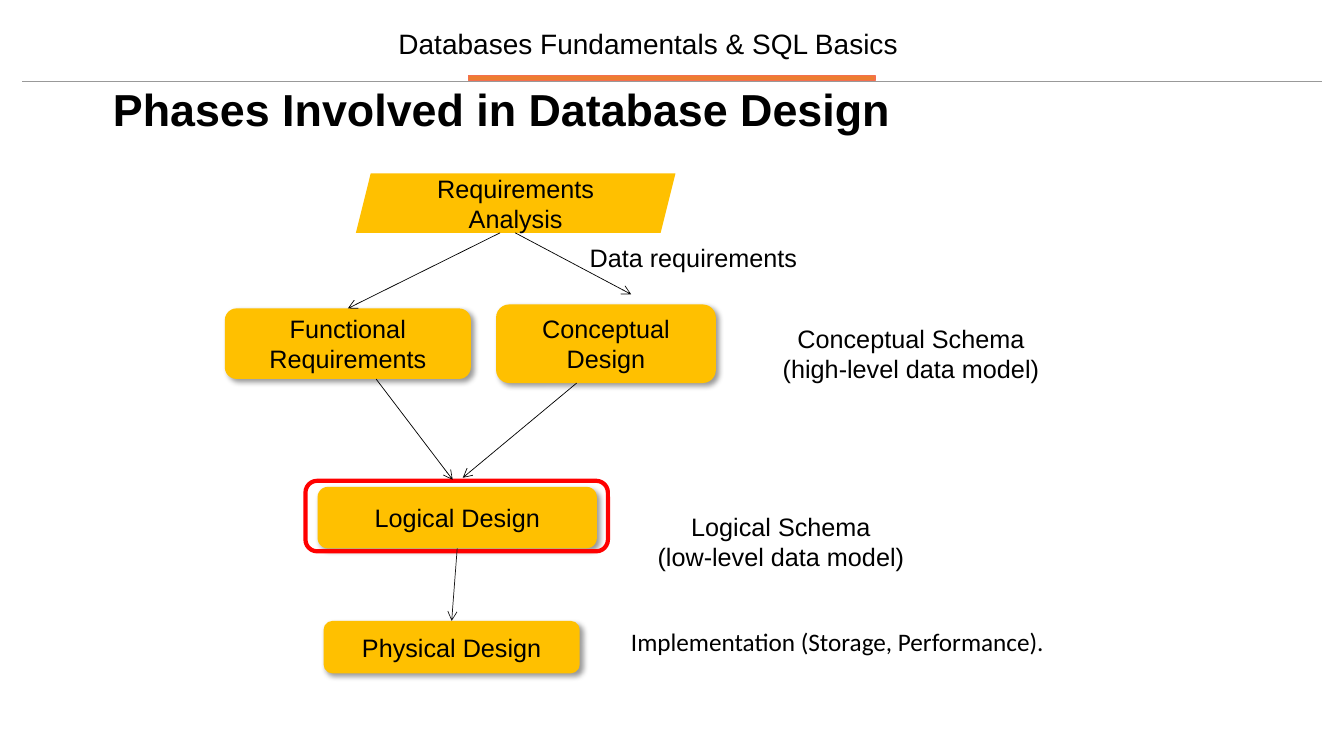
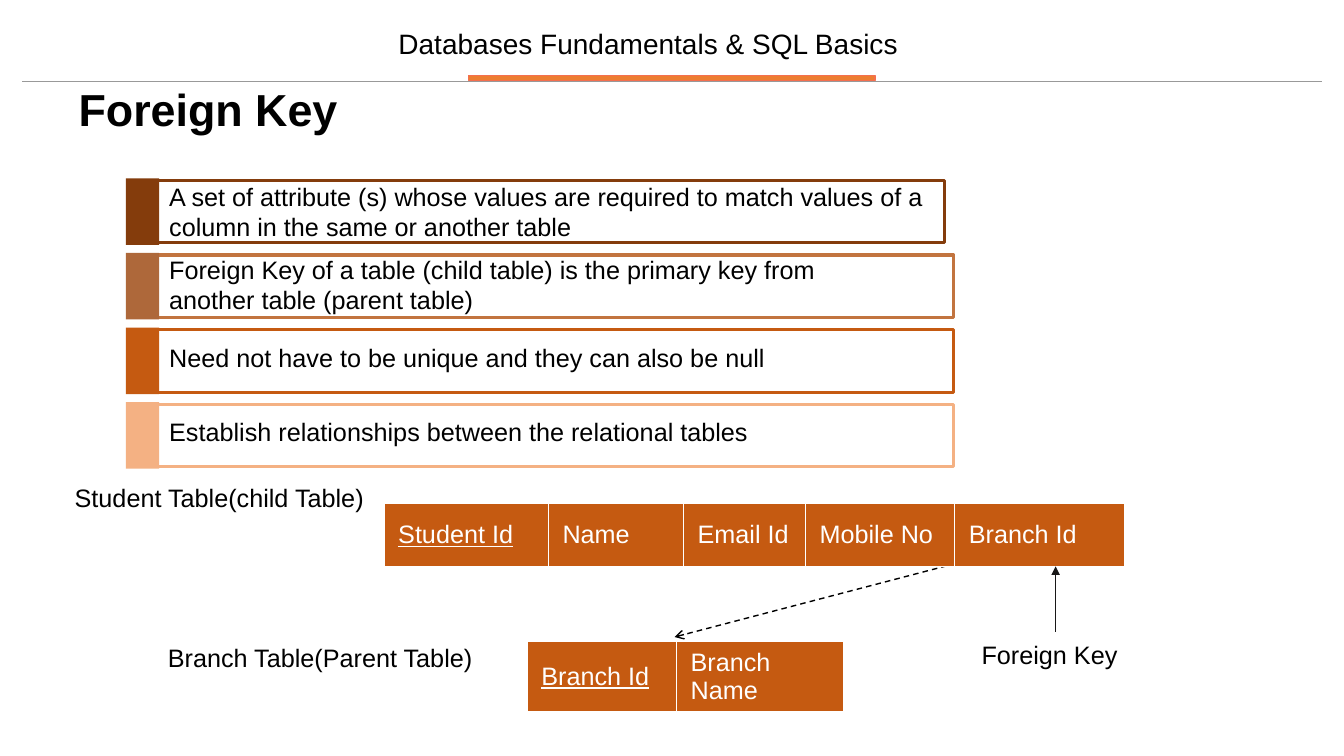
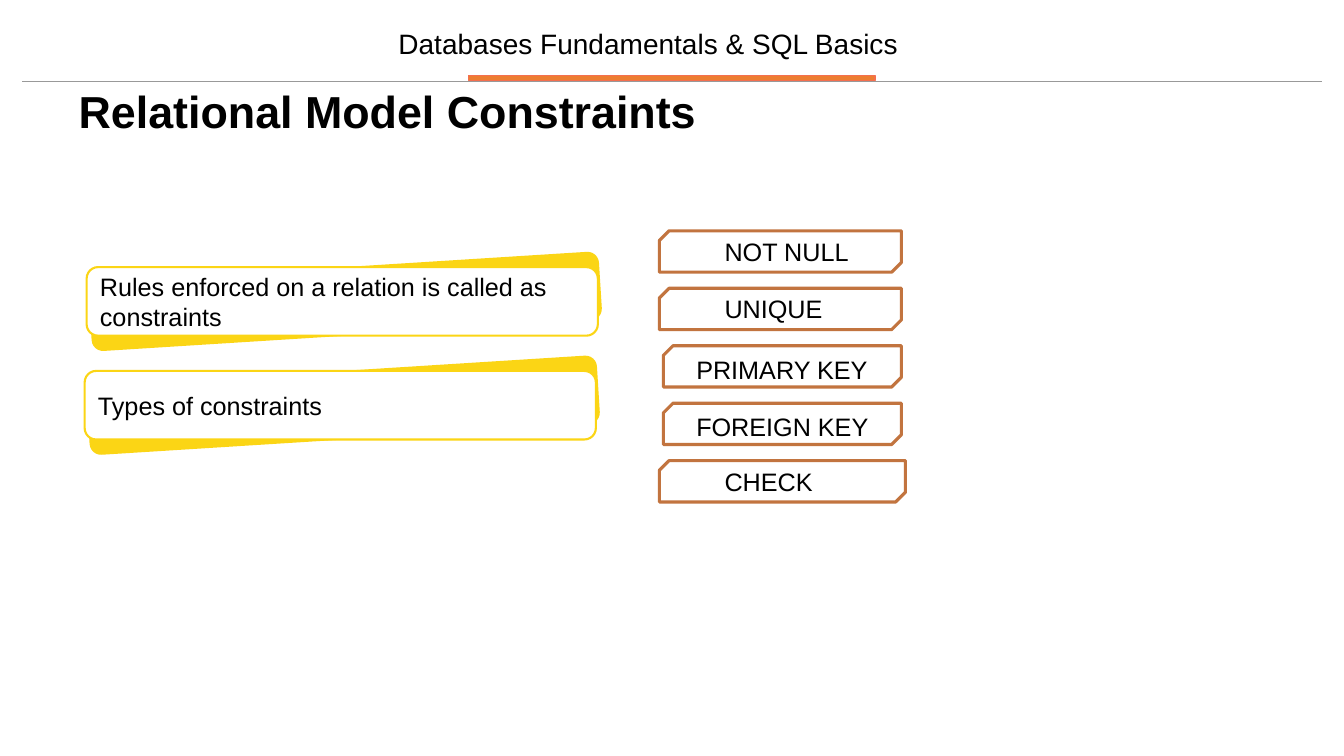
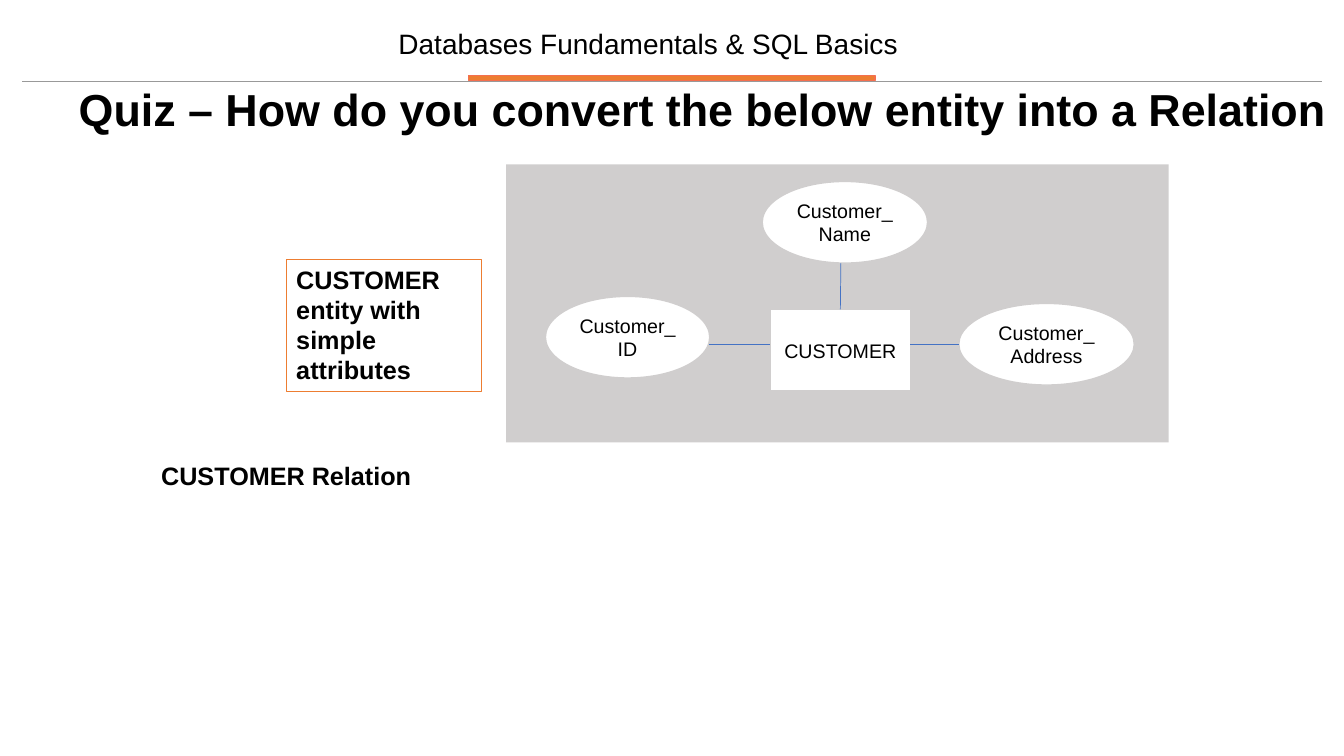
"""Build four slides on database design, keys, constraints and entities."""
from dataclasses import dataclass
from typing import Optional

from lxml.etree import SubElement as Sub
from pptx import Presentation
from pptx.dml.color import RGBColor as RGB
from pptx.enum.dml import MSO_LINE as Dash
from pptx.enum.shapes import MSO_CONNECTOR as Conn, MSO_SHAPE as Kind
from pptx.enum.text import MSO_ANCHOR as Anchor, MSO_AUTO_SIZE as Fit, PP_ALIGN as Align
from pptx.oxml.ns import qn
from pptx.util import Inches, Pt

HUES = {
    "black": "000000", "ink": "181717", "white": "FFFFFF", "rule": "999999",
    "band": "ED7D31", "edge": "F46F4F", "gold": "FFC000", "red": "FF0000",
    "cocoa": "843C0C", "clay": "C2743F", "tan": "AE683A", "rust": "C55A11",
    "peach": "F4B183", "sun": "FBD515", "grey": "D0CECE", "blue": "4472C4",
}
WIDE, HIGH = 13.33, 7.5
FONT = "Arial"
Spot = tuple[float, float]
Area = tuple[float, float, float, float]


@dataclass(frozen=True)
class Type:
    size: float = 18
    hue: str = "black"
    bold: bool = False
    line: bool = False
    font: str = FONT
    align: Align = Align.LEFT
    space: Optional[float] = None
    indent: float = 0


@dataclass(frozen=True)
class Look:
    kind: Kind = Kind.RECTANGLE
    fill: Optional[str] = None
    edge: Optional[str] = None
    width: float = 1
    shade: bool = False
    turn: float = 0
    snip: Optional[float] = None


@dataclass(frozen=True)
class Bar:
    text: str
    edge: str
    tab: str
    wide: float
    top: float
    room: float = 6.67


@dataclass(frozen=True)
class Rule:
    text: str
    left: float
    wide: float
    indent: float = 0.5
    drop: float = 0.05


BODY = Type()
MID = Type(align=Align.CENTER)
BOLD = Type(bold=True)
SMALL = Type(size=14, align=Align.CENTER)
HEAD = Type(size=32, bold=True, space=0.9)
TOP = Type(size=20, align=Align.CENTER, space=0.9)
STEP = Look(Kind.FLOWCHART_ALTERNATE_PROCESS, "gold", shade=True)


def tint(name: str) -> RGB:
    return RGB.from_string(HUES[name])


def write(frame, text: str, kind: Type) -> None:
    for i, line in enumerate(text.split("\n")):
        para = frame.add_paragraph() if i else frame.paragraphs[0]
        para.alignment = kind.align
        if kind.space:
            para.line_spacing = kind.space
        if kind.indent:
            para._p.get_or_add_pPr().set("marL", str(Inches(kind.indent)))
        run = para.add_run()
        run.text = line
        font = run.font
        font.name, font.size, font.bold = kind.font, Pt(kind.size), kind.bold
        font.underline = kind.line
        font.color.rgb = tint(kind.hue)


def label(slide, area: Area, text: str, kind: Type = BODY, anchor: Anchor = Anchor.TOP):
    box = slide.shapes.add_textbox(*map(Inches, area))
    frame = box.text_frame
    frame.word_wrap = True
    frame.vertical_anchor = anchor
    write(frame, text, kind)
    return box


def shade(shape) -> None:
    group = shape._element.spPr.find(qn("a:effectLst"))
    drop = Sub(group, qn("a:outerShdw"), blurRad=str(Pt(4)), dist=str(Pt(3)),
               dir="2700000", algn="tl", rotWithShape="0")
    hue = Sub(drop, qn("a:srgbClr"), val=HUES["black"])
    Sub(hue, qn("a:alpha"), val="40000")


def draw(slide, area: Area, look: Look, text: str = "", kind: Type = MID,
         anchor: Anchor = Anchor.MIDDLE):
    shape = slide.shapes.add_shape(look.kind, *map(Inches, area))
    shape.shadow.inherit = False
    shape.rotation = look.turn
    if look.snip is not None:
        shape.adjustments[0], shape.adjustments[1] = look.snip, 0
    if look.fill:
        shape.fill.solid()
        shape.fill.fore_color.rgb = tint(look.fill)
    else:
        shape.fill.background()
    if look.edge:
        shape.line.color.rgb = tint(look.edge)
        shape.line.width = Pt(look.width)
    else:
        shape.line.fill.background()
    if look.shade:
        shade(shape)
    if text:
        frame = shape.text_frame
        frame.word_wrap = True
        frame.vertical_anchor = anchor
        write(frame, text, kind)
    return shape


def link(slide, start: Spot, end: Spot, hue: str = "black", width: float = 0.5,
         tail: str = "", dash: bool = False):
    line = slide.shapes.add_connector(Conn.STRAIGHT, *map(Inches, start + end))
    line.line.color.rgb = tint(hue)
    line.line.width = Pt(width)
    if dash:
        line.line.dash_style = Dash.DASH
    props = line._element.spPr
    if tail:
        Sub(props.find(qn("a:ln")), qn("a:tailEnd"), type=tail)
    Sub(props, qn("a:effectLst"))
    return line


def grid(slide, left: float, top: float, high: float, cells: list[tuple[str, float]]) -> None:
    wide = sum(size for _, size in cells)
    area = map(Inches, (left, top, wide, high))
    table = slide.shapes.add_table(1, len(cells), *area).table
    table.rows[0].height = Inches(high)
    for i, (text, size) in enumerate(cells):
        table.columns[i].width = Inches(size)
        cell = table.cell(0, i)
        cell.margin_left = cell.margin_right = Inches(0.14)
        cell.vertical_anchor = Anchor.MIDDLE
        props = cell._tc.get_or_add_tcPr()
        for side in ("lnL", "lnR", "lnT", "lnB"):
            edge = Sub(props, qn(f"a:{side}"), w=str(Pt(1)))
            Sub(Sub(edge, qn("a:solidFill")), qn("a:srgbClr"), val=HUES["white"])
        cell.fill.solid()
        cell.fill.fore_color.rgb = tint("rust")
        write(cell.text_frame, text, Type(hue="white", line=i == 0))


def start(deck, title: str, left: float = 0.68, top: float = 0.82):
    slide = deck.slides.add_slide(deck.slide_layouts[5])
    link(slide, (0.22, 0.81), (13.11, 0.81), "rule", 0.75)
    draw(slide, (4.65, 0.75, 4.03, 0.05), Look(fill="band", edge="edge"))
    label(slide, (3.75, 0.26, 5.36, 0.38), "Databases Fundamentals & SQL Basics",
          TOP, Anchor.MIDDLE)
    head = slide.shapes.title
    head.left, head.top = Inches(left), Inches(top)
    head.width, head.height = Inches(WIDE - left), Inches(0.78)
    frame = head.text_frame
    frame.auto_size = Fit.NONE
    frame.word_wrap = True
    frame.vertical_anchor = Anchor.TOP
    write(frame, title, HEAD)
    return slide


def phases(deck) -> None:
    slide = start(deck, "Phases Involved in Database Design", 1.02)
    draw(slide, (3.53, 1.72, 3.17, 0.59), Look(Kind.PARALLELOGRAM, "gold"),
         "Requirements Analysis")
    needs = draw(slide, (2.23, 3.06, 2.44, 0.7), STEP, "Functional Requirements")
    frame = needs.text_frame
    frame.margin_left = frame.margin_right = Inches(0.04)
    draw(slide, (4.92, 3.02, 2.18, 0.78), STEP, "Conceptual Design")
    logic = draw(slide, (3.15, 4.83, 2.77, 0.61), STEP, "Logical Design")
    disk = draw(slide, (3.21, 6.16, 2.54, 0.52), STEP, "Physical Design")
    draw(slide, (3.03, 4.77, 3, 0.7), Look(Kind.ROUNDED_RECTANGLE, edge="red", width=3))

    link(slide, (4.96, 2.31), (3.45, 3.06), tail="arrow").end_connect(needs, 0)
    link(slide, (5.11, 2.31), (6.26, 2.92), tail="arrow")
    link(slide, (3.73, 3.76), (4.49, 4.76), tail="arrow")
    link(slide, (5.72, 3.8), (4.59, 4.74), tail="arrow")
    last = link(slide, (4.54, 5.44), (4.48, 6.16), "ink", tail="arrow")
    last.begin_connect(logic, 2)
    last.end_connect(disk, 0)

    label(slide, (5.75, 2.35, 3.17, 0.4), "Data requirements")
    label(slide, (7.55, 3.16, 2.97, 0.71), "Conceptual Schema\n(high-level data model)", MID)
    label(slide, (6.31, 5.02, 2.87, 0.71), "Logical Schema\n(low-level data model)", MID)
    label(slide, (6.16, 6.16, 6.67, 0.4), "Implementation (Storage, Performance).",
          Type(font="Calibri"))


def keys(deck) -> None:
    slide = start(deck, "Foreign Key")
    bars = [
        Bar("A set of attribute (s) whose values are required to match values of a "
            "column in the same or another table", "cocoa", "cocoa", 7.96, 1.75, 7.96),
        Bar("Foreign Key of a table (child table) is the primary key from "
            "another table (parent table)", "clay", "tan", 8.05, 2.47),
        Bar("Need not have to be unique and they can also be null",
            "rust", "rust", 8.05, 3.35),
        Bar("Establish relationships between the relational tables",
            "peach", "peach", 8.05, 4.08),
    ]
    for i, bar in enumerate(bars):
        top = 1.77 + 0.74 * i
        draw(slide, (1.41, top + 0.02, bar.wide, 0.62), Look(edge=bar.edge, width=2.25))
        draw(slide, (1.25, top, 0.33, 0.66), Look(fill=bar.tab))
        label(slide, (1.58, bar.top, bar.room, 0.4), bar.text)

    label(slide, (0.39, 4.74, 3.57, 0.37), "Student Table(child Table)", MID)
    label(slide, (1.12, 6.32, 4.11, 0.43), "Branch Table(Parent Table)", MID)
    label(slide, (9.39, 6.29, 2.04, 0.35), "Foreign Key", MID)
    link(slide, (9.67, 5.54), (6.69, 6.32), width=1, tail="arrow", dash=True)
    grid(slide, 3.81, 4.99, 0.63, [("Student Id", 1.63), ("Name", 1.34), ("Email Id", 1.21),
                                   ("Mobile No", 1.48), ("Branch Id", 1.68)])
    grid(slide, 5.23, 6.36, 0.7, [("Branch Id", 1.48), ("Branch Name", 1.66)])
    link(slide, (10.47, 6.27), (10.47, 5.62), "ink", tail="triangle")


def limits(deck) -> None:
    slide = start(deck, "Relational Model Constraints", top=0.84)
    rules = [
        Rule("NOT NULL", 6.54, 2.4),
        Rule("UNIQUE", 6.54, 2.4),
        Rule("PRIMARY KEY", 6.58, 2.36, 0.18, 0.1),
        Rule("FOREIGN KEY", 6.58, 2.36, 0.18, 0.1),
        Rule("CHECK", 6.54, 2.44),
    ]
    snip = Look(Kind.SNIP_2_DIAG_RECTANGLE, edge="clay", width=2.25, snip=0.234)
    for i, rule in enumerate(rules):
        box = draw(slide, (rule.left, 2.29 + 0.57 * i, rule.wide, 0.41), snip,
                   rule.text, Type(indent=rule.indent))
        box.text_frame.margin_top = Inches(rule.drop)

    back = Look(Kind.ROUNDED_RECTANGLE, "sun", turn=-3.6)
    card = Look(Kind.ROUNDED_RECTANGLE, "white", "sun", 1.5)
    notes = [("Rules enforced on a relation is called as constraints", 0.86, 2.65),
             ("Types of constraints", 0.84, 3.68)]
    for text, left, top in notes:
        draw(slide, (left + 0.03, top, 5.07, 0.68), back)
        draw(slide, (left, top, 5.07, 0.68), card, text, BODY)


def quiz(deck) -> None:
    slide = start(deck, "Quiz – How do you convert the below entity into a Relation")
    draw(slide, (2.84, 2.57, 1.94, 1.31), Look(edge="band", width=0.75),
         "CUSTOMER\nentity with simple attributes", BOLD, Anchor.TOP)
    label(slide, (1.5, 4.52, 3, 0.4), "CUSTOMER Relation", BOLD)
    draw(slide, (5.02, 1.63, 6.57, 2.76), Look(fill="grey"))
    oval = Look(Kind.OVAL, "white", "grey")
    traits = [("Customer_Name", (7.56, 1.8, 1.64, 0.81)),
              ("Customer_\nID", (5.41, 2.94, 1.63, 0.81)),
              ("Customer_ Address", (9.51, 3.01, 1.74, 0.81))]
    for text, area in traits:
        draw(slide, area, oval, text, SMALL)
    buyer = draw(slide, (7.64, 3.07, 1.39, 0.81), Look(fill="white", edge="grey"),
                 "CUSTOMER", SMALL)
    link(slide, (8.34, 2.61), (8.34, 3.07), "blue").end_connect(buyer, 0)
    link(slide, (7.03, 3.42), (7.64, 3.42), "blue")
    link(slide, (9.03, 3.42), (9.51, 3.42), "blue")


def main() -> None:
    deck = Presentation()
    deck.slide_width, deck.slide_height = Inches(WIDE), Inches(HIGH)
    for build in (phases, keys, limits, quiz):
        build(deck)
    deck.save("out.pptx")


if __name__ == "__main__":
    main()
